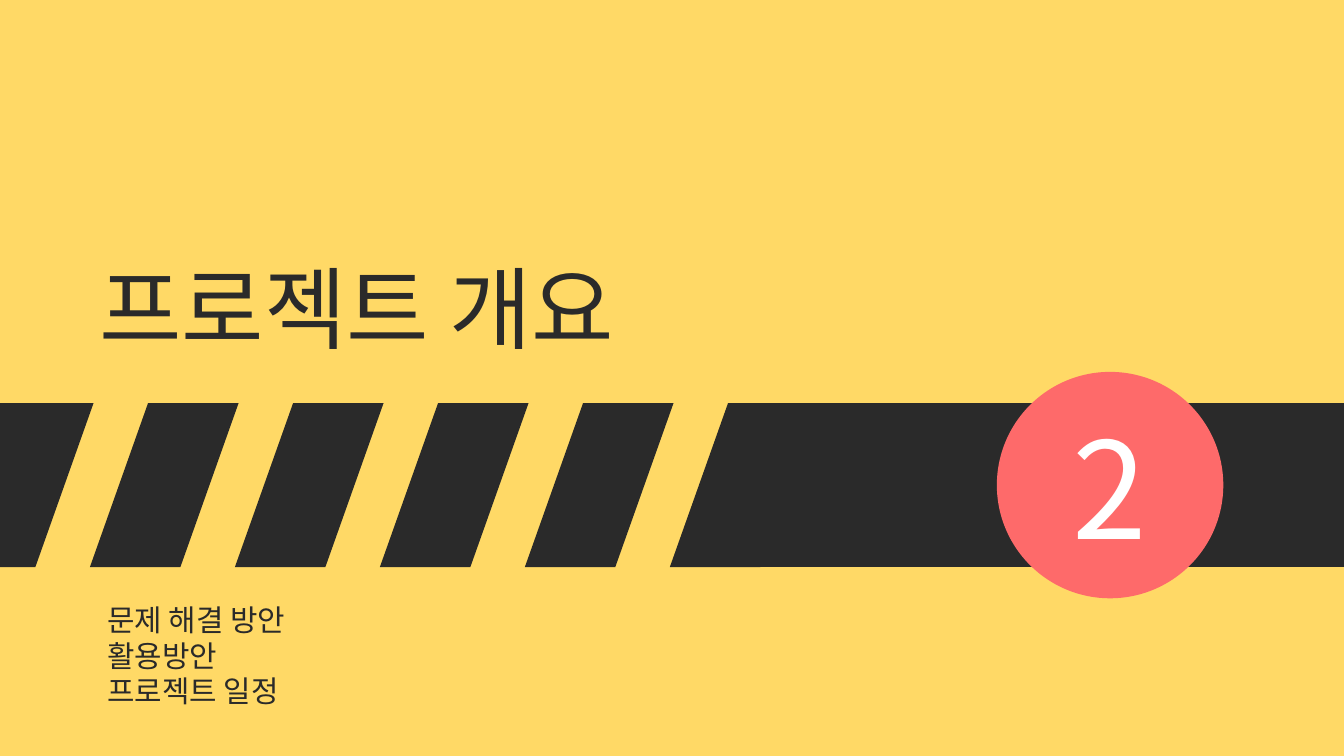
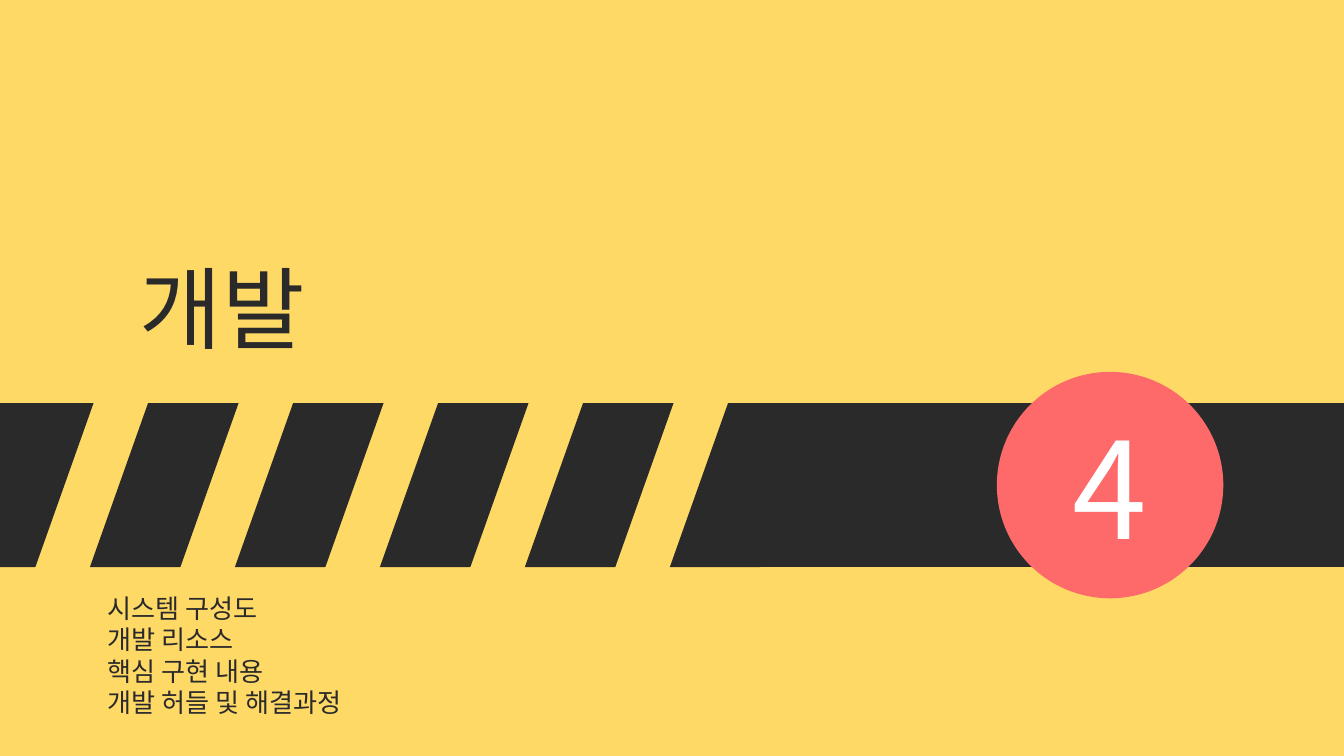
from dataclasses import dataclass

from lxml import etree
from pptx import Presentation
from pptx.dml.color import RGBColor
from pptx.enum.shapes import MSO_SHAPE
from pptx.enum.text import MSO_ANCHOR, MSO_AUTO_SIZE, PP_ALIGN
from pptx.oxml.ns import qn
from pptx.util import Cm, Pt

OVAL = MSO_SHAPE.OVAL
LEFT, CENTER = PP_ALIGN.LEFT, PP_ALIGN.CENTER
MIDDLE, BOTTOM = MSO_ANCHOR.MIDDLE, MSO_ANCHOR.BOTTOM
NO_AUTOFIT = MSO_AUTO_SIZE.NONE

# Content
SECTIONS = [
    {
        "number": "2",
        "title": "프로젝트 개요",
        "title_left": 1.63,
        "topics": ["문제 해결 방안", "활용방안", "프로젝트 일정"],
        "topic_size": 16,
    },
    {
        "number": "4",
        "title": "개발",
        "title_left": 2.39,
        "topics": ["시스템 구성도", "개발 리소스", "핵심 구현 내용", "개발 허들 및 해결과정"],
        "topic_size": 14,
    },
]


# Theme
@dataclass(frozen=True)
class Theme:
    font: str = "Noto Sans CJK KR"
    yellow: RGBColor = RGBColor(0xFF, 0xD9, 0x66)
    dark: RGBColor = RGBColor(0x2A, 0x2A, 0x2A)
    coral: RGBColor = RGBColor(0xFE, 0x6A, 0x6A)
    white: RGBColor = RGBColor(0xFF, 0xFF, 0xFF)
    title_size: int = 48
    number_size: int = 72


THEME = Theme()

# Layout, in centimetres
SLIDE_WIDTH, SLIDE_HEIGHT = 25.4, 14.29
BAND_TOP, BAND_BOTTOM = 7.62, 10.72
BAR_LEFT = 14.0
STRIPE_COUNT, STRIPE_LEFT, STRIPE_STEP = 5, 1.7, 2.74
STRIPE_WIDTH, STRIPE_SLANT, STRIPES_END = 1.71, 1.1, 14.37
CIRCLE = (18.84, 7.03, 4.28, 4.28)
NUMBER_BOX = (19.36, 8.18, 3.23, 2.01)
TITLE_TOP, TITLE_WIDTH, TITLE_HEIGHT = 4.11, 18.26, 2.95
TOPICS_BOX = (1.78, 11.65, 7.95, 1.47)
INSET = Cm(0.25)


def place(shape, box):
    shape.left, shape.top, shape.width, shape.height = map(Cm, box)


def paint(shape, color):
    shape.fill.solid()
    shape.fill.fore_color.rgb = color
    shape.line.fill.background()
    shape.shadow.inherit = False


def write(shape, lines, size, color, align, anchor):
    frame = shape.text_frame
    frame.word_wrap = True
    frame.auto_size = NO_AUTOFIT
    frame.vertical_anchor = anchor
    frame.margin_left = frame.margin_right = INSET
    frame.margin_top = frame.margin_bottom = INSET
    frame.text = "\n".join(lines)
    for paragraph in frame.paragraphs:
        paragraph.alignment = align
        paragraph.space_before = Pt(0)
        paragraph.line_spacing = 1.0
        font = paragraph.font
        font.size, font.name, font.color.rgb = Pt(size), THEME.font, color
        # Hangul takes the East Asian typeface
        properties = paragraph._p.pPr.find(qn("a:defRPr"))
        etree.SubElement(properties, qn("a:ea"), typeface=THEME.font)


def add_band(slide):
    """Slanted stripes that run into a solid bar."""
    top, bottom = BAND_TOP, BAND_BOTTOM
    outlines = [[(0, top), (STRIPE_LEFT - STRIPE_STEP + STRIPE_WIDTH + STRIPE_SLANT, top),
                 (STRIPE_LEFT - STRIPE_STEP + STRIPE_WIDTH, bottom), (0, bottom)]]
    for index in range(STRIPE_COUNT):
        left = STRIPE_LEFT + index * STRIPE_STEP
        right = left + STRIPE_WIDTH
        outlines.append([(left + STRIPE_SLANT, top),
                         (min(right + STRIPE_SLANT, STRIPES_END), top),
                         (right, bottom), (left, bottom)])
    outlines.append([(BAR_LEFT, top), (SLIDE_WIDTH, top),
                     (SLIDE_WIDTH, bottom), (BAR_LEFT, bottom)])

    group = slide.shapes.add_group_shape()
    for outline in outlines:
        points = [(Cm(x), Cm(y)) for x, y in outline]
        builder = group.shapes.build_freeform(*points[0])
        builder.add_line_segments(points[1:], close=True)
        paint(builder.convert_to_shape(), THEME.dark)


def add_section(presentation, section):
    slide = presentation.slides.add_slide(presentation.slide_layouts[0])
    add_band(slide)

    # Title and topics
    title, topics = slide.shapes.title, slide.placeholders[1]
    place(title, (section["title_left"], TITLE_TOP, TITLE_WIDTH, TITLE_HEIGHT))
    write(title, [section["title"]], THEME.title_size, THEME.dark, LEFT, BOTTOM)
    place(topics, TOPICS_BOX)
    write(topics, section["topics"], section["topic_size"], THEME.dark, LEFT, MIDDLE)

    # Section number
    circle = slide.shapes.add_shape(OVAL, *map(Cm, CIRCLE))
    paint(circle, THEME.coral)
    number = slide.shapes.add_textbox(*map(Cm, NUMBER_BOX))
    write(number, [section["number"]], THEME.number_size, THEME.white, CENTER, MIDDLE)


def main():
    presentation = Presentation()
    presentation.slide_width, presentation.slide_height = Cm(SLIDE_WIDTH), Cm(SLIDE_HEIGHT)
    background = presentation.slide_master.background.fill
    background.solid()
    background.fore_color.rgb = THEME.yellow
    for section in SECTIONS:
        add_section(presentation, section)
    presentation.save("out.pptx")


if __name__ == "__main__":
    main()
